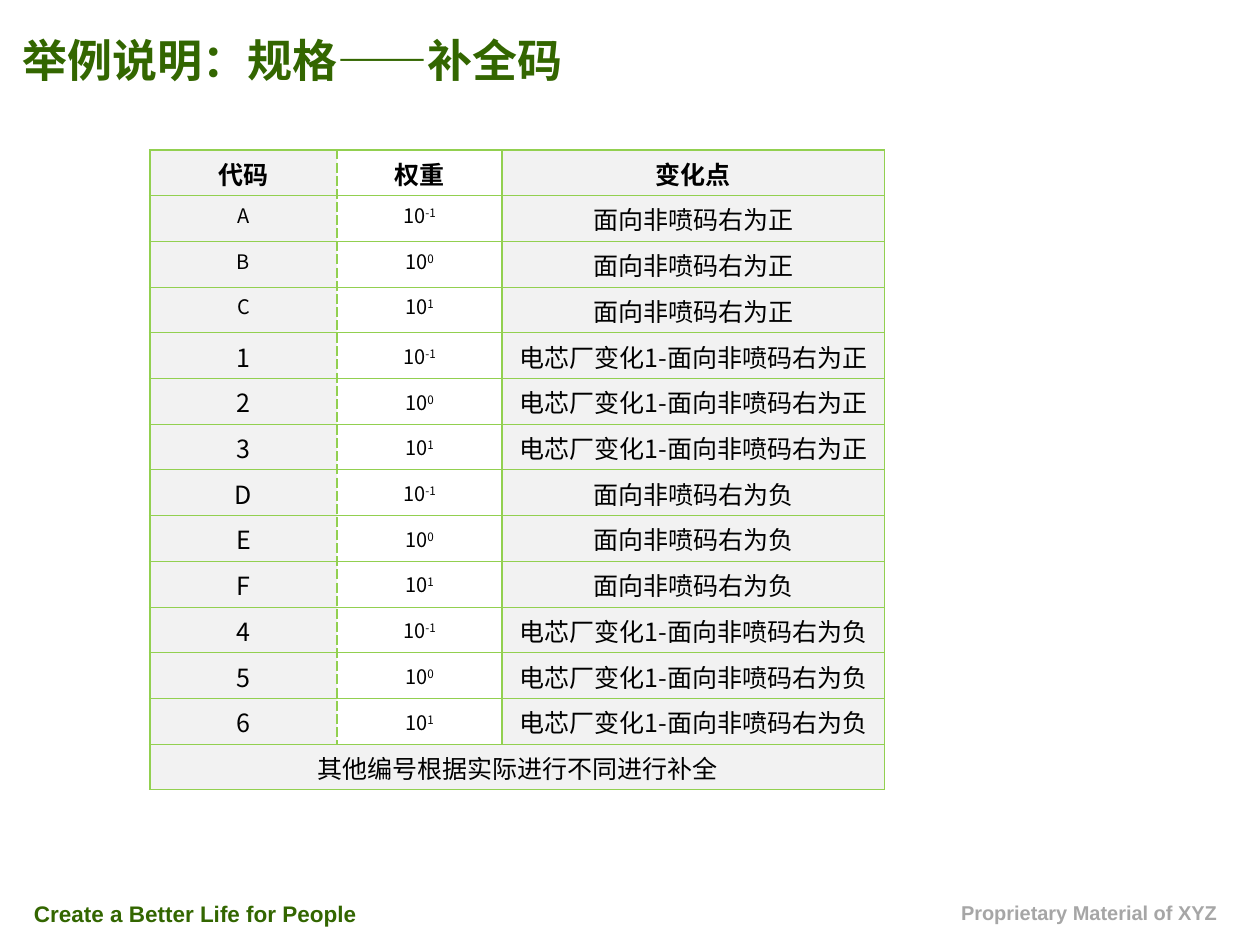
from lxml import etree
from pptx import Presentation
from pptx.dml.color import RGBColor
from pptx.enum.text import MSO_ANCHOR, MSO_AUTO_SIZE, PP_ALIGN
from pptx.oxml.ns import qn
from pptx.util import Emu, Pt

LEFT, CENTER, RIGHT = PP_ALIGN.LEFT, PP_ALIGN.CENTER, PP_ALIGN.RIGHT
TOP, MIDDLE = MSO_ANCHOR.TOP, MSO_ANCHOR.MIDDLE
NO_AUTOFIT = MSO_AUTO_SIZE.NONE
PX = 10160  # 90 px to the inch
LATIN, CJK = "Arial", "Noto Sans CJK SC"
DARK_GREEN, GREEN, GREY, PALE, BLACK = "336600", "92D050", "A6A6A6", "F2F2F2", "000000"


def write(paragraph, text, size=20, color=BLACK, bold=False, font=CJK,
          align=CENTER, baseline=0):
    paragraph.alignment = align
    run = paragraph.add_run()
    run.text = text
    run.font.size, run.font.bold, run.font.name = Pt(size), bold, font
    run.font.color.rgb = RGBColor.from_string(color)
    properties = run.font._element
    etree.SubElement(properties, qn("a:ea")).set("typeface", CJK)
    if baseline:
        properties.set("baseline", str(baseline * 1000))


def border(cell, side, width, dash="solid"):
    line = etree.SubElement(cell._tc.get_or_add_tcPr(), qn(f"a:ln{side}"),
                            w=str(Pt(width)))
    fill = etree.SubElement(line, qn("a:solidFill"))
    etree.SubElement(fill, qn("a:srgbClr"), val=GREEN)
    etree.SubElement(line, qn("a:prstDash"), val=dash)


deck = Presentation()
deck.slide_width, deck.slide_height = Emu(1260 * PX), Emu(945 * PX)
slide = deck.slides.add_slide(deck.slide_layouts[5])

# Title
title = slide.shapes.title
title.left, title.top, title.width, title.height = [Emu(v * PX) for v in (14, 28, 886, 64)]
title.text_frame.auto_size = NO_AUTOFIT
title.text_frame.vertical_anchor = TOP
write(title.text_frame.paragraphs[0], "举例说明：规格——补全码",
      size=36, color=DARK_GREEN, bold=True, font=LATIN, align=LEFT)

# Footer lines, with no margin on the side where the text ends freely
for text, left, width, height, size, color, align in (
    ("Create a Better Life for People", 25, 340, 36, 18, DARK_GREEN, LEFT),
    ("Proprietary Material of XYZ", 942, 284, 33, 16, GREY, RIGHT),
):
    footer = slide.shapes.add_textbox(left * PX, 896 * PX, width * PX, height * PX)
    footer.text_frame.word_wrap = False
    if align == LEFT:
        footer.text_frame.margin_right = 0
    else:
        footer.text_frame.margin_left = 0
    write(footer.text_frame.paragraphs[0], text, size=size, color=color,
          bold=True, font=LATIN, align=align)

# Code table: each group of three codes shares one meaning
headings = ("代码", "权重", "变化点")
exponents = ("-1", "0", "1")
groups = (
    ("ABC", "面向非喷码右为正"),
    ("123", "电芯厂变化1-面向非喷码右为正"),
    ("DEF", "面向非喷码右为负"),
    ("456", "电芯厂变化1-面向非喷码右为负"),
)
rows = [(code, exponent, meaning) for codes, meaning in groups
        for code, exponent in zip(codes, exponents)]
note = "其他编号根据实际进行不同进行补全"
last = len(rows) + 1
column_widths = (187, 165, 383)
table_height = 640

table = slide.shapes.add_table(last + 1, 3, 150 * PX, 150 * PX,
                               sum(column_widths) * PX, table_height * PX).table
table.first_row = table.horz_banding = False
for column, width in zip(table.columns, column_widths):
    column.width = Emu(width * PX)
for row in table.rows:
    row.height = Emu(table_height * PX // (last + 1))
table.cell(last, 0).merge(table.cell(last, 2))

# Cell borders, fills and margins
side_borders = (
    ((2.25, "solid"), (1, "dash")),
    ((1, "dash"), (2.25, "solid")),
    ((2.25, "solid"), (1, "solid")),
)
for r in range(last + 1):
    for c, (left_line, right_line) in enumerate(side_borders):
        cell = table.cell(r, c)
        border(cell, "L", *left_line)
        border(cell, "R", *((1, "solid") if r == last else right_line))
        border(cell, "T", 1)
        border(cell, "B", 1)
        if c == 1 and r < last:
            cell.fill.background()
        else:
            cell.fill.solid()
            cell.fill.fore_color.rgb = RGBColor.from_string(PALE)
        small_code = c == 0 and 1 <= r <= 3
        weight = c == 1 and 1 <= r < last
        cell.vertical_anchor = TOP if small_code or (weight and r <= 3) else MIDDLE
        if not (small_code or weight):
            cell.margin_left = cell.margin_right = cell.margin_top = Emu(PX)
            cell.margin_bottom = 0

# Cell text
for c, heading in enumerate(headings):
    write(table.cell(0, c).text_frame.paragraphs[0], heading, bold=True)
for r, (code, exponent, meaning) in enumerate(rows, start=1):
    code_line, weight_line, meaning_line = [
        table.cell(r, c).text_frame.paragraphs[0] for c in range(3)]
    write(code_line, code, size=16 if r <= 3 else 20)
    write(weight_line, "10", size=16)
    write(weight_line, exponent, size=16, baseline=30)
    write(meaning_line, meaning)
write(table.cell(last, 0).text_frame.paragraphs[0], note)

deck.save("out.pptx")
